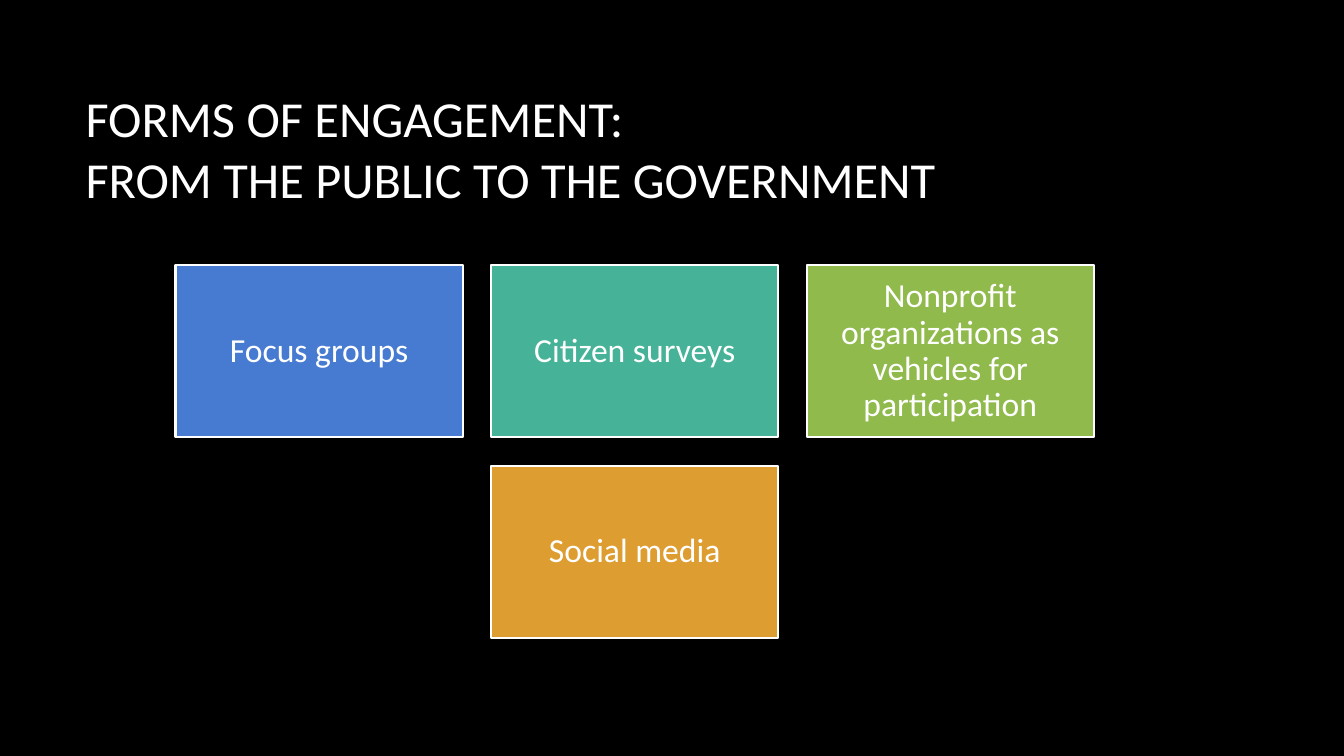
from pptx import Presentation
from pptx.dml.color import RGBColor
from pptx.enum import shapes, text
from pptx.util import Inches, Pt

TITLE = "FORMS OF ENGAGEMENT:\vFROM THE PUBLIC TO THE GOVERNMENT"
ROWS = [
    [("Focus groups", "477BD1"),
     ("Citizen surveys", "46B298"),
     ("Nonprofit organizations as vehicles for participation", "90BA4C")],
    [("Social media", "DD9D31")],
]
FONT, BLACK, WHITE = "Calibri", "000000", "FFFFFF"
CENTER_X, TOP = 6.295, 2.63
BOX_W, BOX_H, GAP = 2.85, 1.71, 0.28


def paint(fill, color):
    fill.solid()
    fill.fore_color.rgb = RGBColor.from_string(color)


def write(s, content, size, align, inset):
    """Put one vertically centred paragraph in a shape."""
    tf = s.text_frame
    tf.word_wrap = True
    tf.vertical_anchor = text.MSO_ANCHOR.MIDDLE
    tf.margin_left = tf.margin_right = Inches(0.1)
    tf.margin_top = tf.margin_bottom = Inches(inset)
    p = tf.paragraphs[0]
    p.text = content
    p.alignment = align
    p.font.name = FONT
    p.font.size = Pt(size)
    paint(p.font.fill, WHITE)
    return p


def add_box(slide, x, y, label, color):
    s = slide.shapes.add_shape(shapes.MSO_SHAPE.RECTANGLE, Inches(x), Inches(y),
                               Inches(BOX_W), Inches(BOX_H))
    s.shadow.inherit = False
    paint(s.fill, color)
    paint(s.line.fill, WHITE)
    s.line.width = Pt(1.5)
    p = write(s, label, 24, text.PP_ALIGN.CENTER, 0.1)
    p.line_spacing = 0.9


def main():
    prs = Presentation()
    prs.slide_width, prs.slide_height = Inches(13.33), Inches(7.5)
    slide = prs.slides.add_slide(prs.slide_layouts[6])
    paint(slide.background.fill, BLACK)

    title = slide.shapes.add_textbox(Inches(0.75), Inches(0.67),
                                     Inches(11.08), Inches(1.59))
    write(title, TITLE, 36, text.PP_ALIGN.LEFT, 0.05)

    for i, row in enumerate(ROWS):
        row_width = len(row) * (BOX_W + GAP) - GAP
        left = CENTER_X - row_width / 2
        for j, (label, color) in enumerate(row):
            add_box(slide, left + j * (BOX_W + GAP), TOP + i * (BOX_H + GAP),
                    label, color)

    prs.save("out.pptx")


if __name__ == "__main__":
    main()
